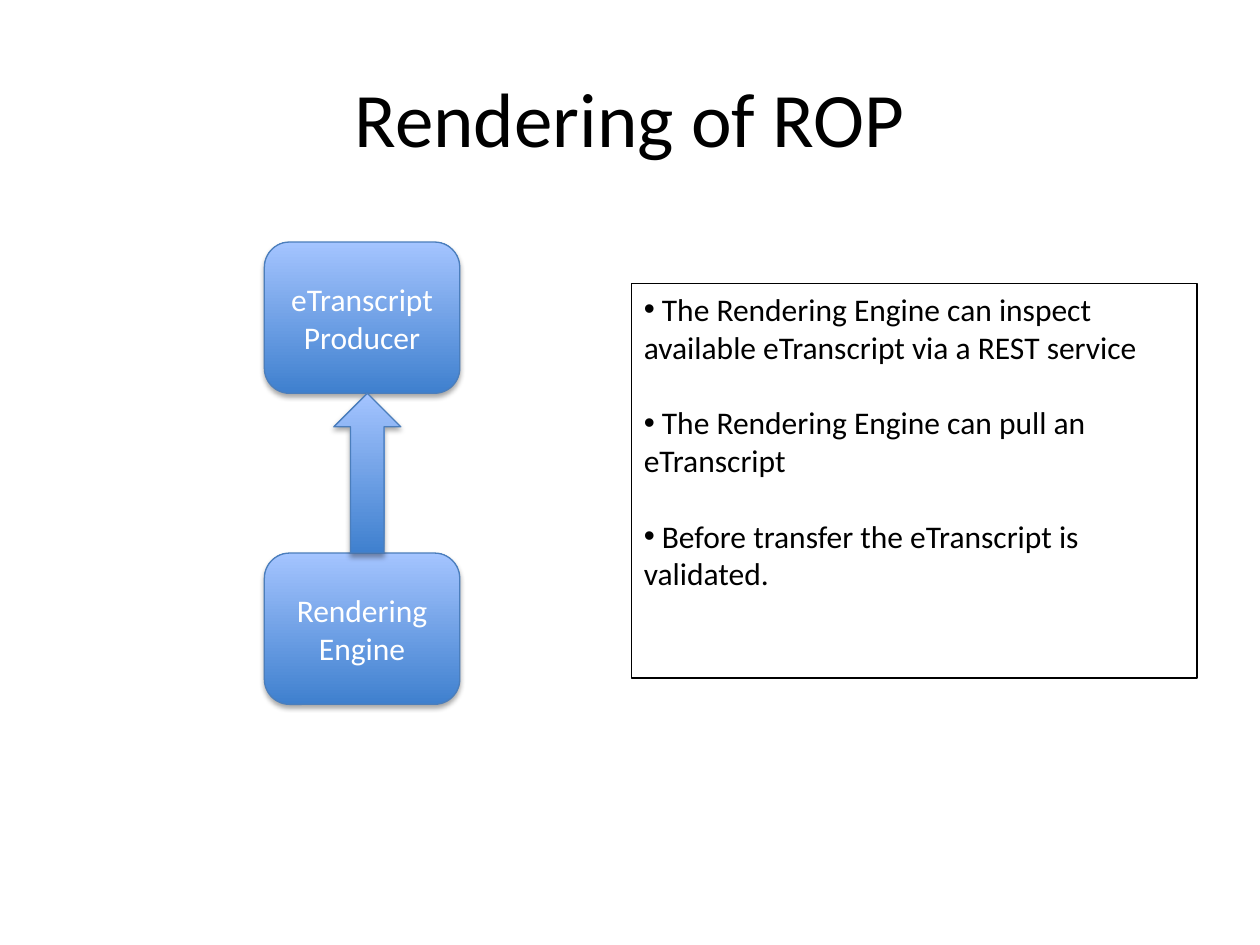
"""Build the Rendering of ROP slide."""
import dataclasses

import lxml.etree
import pptx
import pptx.dml.color
import pptx.enum.shapes
import pptx.enum.text
import pptx.oxml.ns
import pptx.util

Cm = pptx.util.Cm
Pt = pptx.util.Pt
ALIGN = pptx.enum.text.PP_ALIGN
ANCHOR = pptx.enum.text.MSO_ANCHOR
SHAPE = pptx.enum.shapes.MSO_SHAPE


@dataclasses.dataclass(frozen=True)
class Theme:
    """Hold the colours and type sizes of the slide."""
    font: str = "Calibri"
    bullet_font: str = "Arial"
    ink: str = "000000"
    light: str = "FFFFFF"
    gradient: tuple = ("3F80CE", "A4C4FF")
    outline: str = "4B7EBC"
    title_size: float = 44
    body_size: float = 18
    bullet_gap: float = 21.6
    line_width: float = 0.75


THEME = Theme()


def rgb(value):
    """Return a colour object for a hex value."""
    return pptx.dml.color.RGBColor.from_string(value)


def add_child(parent, tag, **attributes):
    """Append a DrawingML element to a parent."""
    return lxml.etree.SubElement(parent, pptx.oxml.ns.qn(tag), attributes)


def write(box, lines, size, color, align, anchor, gap=0, bullet=False):
    """Fill a box with one paragraph per line."""
    frame = box.text_frame
    frame.word_wrap = True
    frame.vertical_anchor = anchor
    for index, line in enumerate(lines):
        para = frame.add_paragraph() if index else frame.paragraphs[0]
        para.alignment = align
        if index and gap:
            para.space_before = Pt(gap)
        if bullet:
            properties = para._p.get_or_add_pPr()
            add_child(properties, "a:buFont", typeface=THEME.bullet_font)
            add_child(properties, "a:buChar", char="•")
        span = para.add_run()
        span.text = line
        span.font.name = THEME.font
        span.font.size = Pt(size)
        span.font.color.rgb = rgb(color)


def add_outlined(page, kind, area, color):
    """Add a preset shape with a thin outline and no shadow."""
    shape = page.shapes.add_shape(kind, *map(Cm, area))
    shape.shadow.inherit = False
    shape.line.color.rgb = rgb(color)
    shape.line.width = Pt(THEME.line_width)
    return shape


def add_glossy(page, kind, area):
    """Add a shape with the blue gradient and a soft shadow below."""
    shape = add_outlined(page, kind, area, THEME.outline)
    shape.fill.gradient()
    shape.fill.gradient_angle = 90
    for stop, color in zip(shape.fill.gradient_stops, THEME.gradient):
        stop.color.rgb = rgb(color)
    effects = shape._element.spPr.find(pptx.oxml.ns.qn("a:effectLst"))
    shadow = add_child(effects, "a:outerShdw", blurRad=str(Pt(3.1)),
                       dist=str(Pt(1.8)), dir="5400000", rotWithShape="0")
    tint = add_child(shadow, "a:srgbClr", val=THEME.ink)
    add_child(tint, "a:alpha", val="35000")
    return shape


def add_title(page, text):
    """Add the centred slide title."""
    box = page.shapes.add_textbox(Cm(1.27), Cm(0.76), Cm(22.86), Cm(3.18))
    write(box, [text], THEME.title_size, THEME.ink, ALIGN.CENTER, ANCHOR.MIDDLE)


def add_notes_panel(page, lines):
    """Add the outlined panel of bulleted remarks."""
    panel = add_outlined(page, SHAPE.RECTANGLE, (12.73, 5.72, 11.4, 7.95), THEME.ink)
    panel.fill.background()
    write(panel, lines, THEME.body_size, THEME.ink, ALIGN.LEFT, ANCHOR.TOP,
          gap=THEME.bullet_gap, bullet=True)


def add_flow(page, nodes):
    """Add the stacked nodes and the arrow rising between them."""
    left, top, width, height, gap = 5.33, 4.88, 3.94, 3.05, 3.22
    for index, lines in enumerate(nodes):
        area = (left, top + index * (height + gap), width, height)
        node = add_glossy(page, SHAPE.ROUNDED_RECTANGLE, area)
        write(node, lines, THEME.body_size, THEME.light, ALIGN.CENTER, ANCHOR.MIDDLE)
    add_glossy(page, SHAPE.UP_ARROW, (6.73, top + height, 1.35, gap))


def main():
    """Build and save the deck."""
    deck = pptx.Presentation()
    deck.slide_width, deck.slide_height = Cm(25.4), Cm(19.05)
    page = deck.slides.add_slide(deck.slide_layouts[6])
    add_title(page, "Rendering of ROP")
    add_notes_panel(page, [
        " The Rendering Engine can inspect available eTranscript via a REST service",
        " The Rendering Engine can pull an eTranscript",
        " Before transfer the eTranscript is validated.",
    ])
    add_flow(page, [["eTranscript", "Producer"], ["Rendering Engine"]])
    deck.save("out.pptx")


main()
